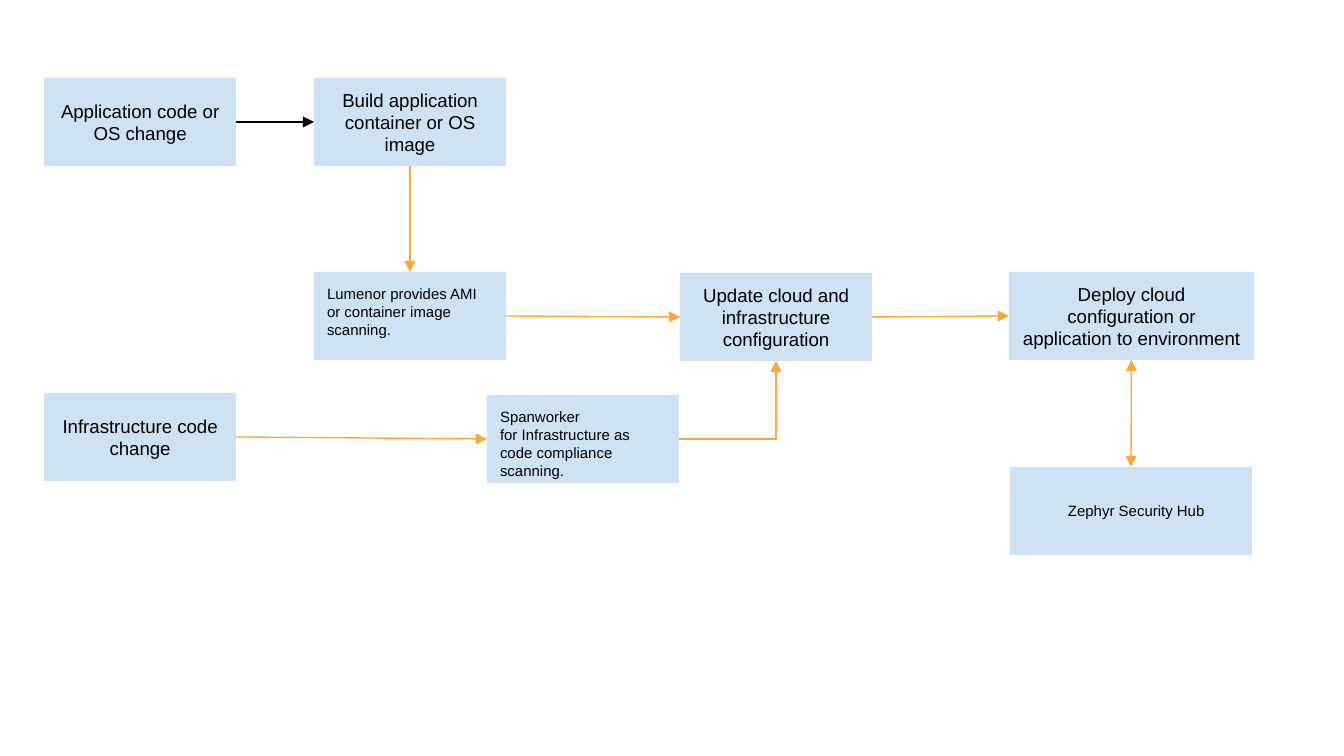
from dataclasses import dataclass

from pptx import Presentation
from pptx.dml.color import RGBColor
from pptx.enum.shapes import MSO_CONNECTOR, MSO_SHAPE
from pptx.enum.text import MSO_ANCHOR, PP_ALIGN
from pptx.oxml.ns import qn
from pptx.oxml.xmlchemy import OxmlElement
from pptx.util import Pt

RECT = MSO_SHAPE.RECTANGLE
STRAIGHT, ELBOW = MSO_CONNECTOR.STRAIGHT, MSO_CONNECTOR.ELBOW
LEFT_ALIGN, CENTER = PP_ALIGN.LEFT, PP_ALIGN.CENTER
TOP_ANCHOR, MIDDLE = MSO_ANCHOR.TOP, MSO_ANCHOR.MIDDLE
TOP, LEFT, BOTTOM, RIGHT = range(4)
EMU_PER_PX = 914400 / 134.4
STEP_W, STEP_H, WIDE_W = 192, 88, 245
INSET, HUB_INSET = 13, 58


@dataclass(frozen=True)
class Theme:
    font: str = "Arial"
    step_size: float = 10
    tool_size: float = 8
    line_width: float = 0.75
    box: RGBColor = RGBColor(0xCF, 0xE2, 0xF3)
    ink: RGBColor = RGBColor(0, 0, 0)
    flow: RGBColor = RGBColor(0xFE, 0xA8, 0x3A)


THEME = Theme()
STEP = dict(size=THEME.step_size, align=CENTER, anchor=MIDDLE, inset=INSET)
TOOL = dict(size=THEME.tool_size, align=LEFT_ALIGN, anchor=TOP_ANCHOR, inset=INSET)
HUB = {**TOOL, "anchor": MIDDLE, "inset": HUB_INSET}

BOXES = {
    "build": (314, 78, STEP_W, "Build application container or OS image", STEP),
    "deploy": (1009, 272, WIDE_W,
               "Deploy cloud configuration or application to environment", STEP),
    "update": (680, 273, STEP_W, "Update cloud and infrastructure configuration", STEP),
    "app_change": (44, 78, STEP_W, "Application code or OS change", STEP),
    "infra_change": (44, 393, STEP_W, "Infrastructure code change", STEP),
    "image_scan": (314, 272, STEP_W,
                   "Lumenor provides AMI or container image scanning.", TOOL),
    "code_scan": (487, 395, STEP_W,
                  "Spanworker for\u00a0Infrastructure as code compliance scanning.", TOOL),
    "hub": (1010, 467, 242, "Zephyr Security Hub", HUB),
}

FLOWS = [
    ("app_change", RIGHT, "build", LEFT, dict(color=THEME.ink)),
    ("build", BOTTOM, "image_scan", TOP, {}),
    ("image_scan", RIGHT, "update", LEFT, {}),
    ("infra_change", RIGHT, "code_scan", LEFT, {}),
    ("code_scan", RIGHT, "update", BOTTOM, dict(kind=ELBOW)),
    ("update", RIGHT, "deploy", LEFT, {}),
    ("hub", TOP, "deploy", BOTTOM, dict(ends=("a:headEnd", "a:tailEnd"))),
]


def px(value):
    return round(value * EMU_PER_PX)


def assign(target, values):
    for name, value in values.items():
        setattr(target, name, value)


def add_box(slide, left, top, width, text, style):
    box = slide.shapes.add_shape(RECT, px(left), px(top), px(width), px(STEP_H))
    box.shadow.inherit = False
    box.fill.solid()
    box.fill.fore_color.rgb = THEME.box
    box.line.fill.background()
    frame = box.text_frame
    assign(frame, dict(
        word_wrap=True, vertical_anchor=style["anchor"],
        margin_left=px(style["inset"]), margin_right=px(INSET),
        margin_top=px(INSET), margin_bottom=px(INSET)))
    paragraph = frame.paragraphs[0]
    paragraph.alignment = style["align"]
    run = paragraph.add_run()
    run.text = text
    assign(run.font, dict(name=THEME.font, size=Pt(style["size"])))
    run.font.color.rgb = THEME.ink
    return box


def add_flow(slide, source, source_site, target, target_site,
             color=THEME.flow, kind=STRAIGHT, ends=("a:tailEnd",)):
    flow = slide.shapes.add_connector(kind, 0, 0, 0, 0)
    flow.begin_connect(source, source_site)
    flow.end_connect(target, target_site)
    flow.line.width = Pt(THEME.line_width)
    flow.line.color.rgb = color
    properties = flow._element.spPr
    if kind == ELBOW:
        properties.find(qn("a:prstGeom")).set("prst", "bentConnector2")
    outline = properties.find(qn("a:ln"))
    for end in ends:
        arrowhead = OxmlElement(end)
        arrowhead.set("type", "triangle")
        outline.append(arrowhead)
    properties.append(OxmlElement("a:effectLst"))


def main():
    deck = Presentation()
    assign(deck, dict(slide_width=px(1344), slide_height=px(756)))
    slide = deck.slides.add_slide(deck.slide_layouts[6])
    boxes = {key: add_box(slide, *details) for key, details in BOXES.items()}
    for source, source_site, target, target_site, options in FLOWS:
        add_flow(slide, boxes[source], source_site, boxes[target], target_site, **options)
    deck.save("out.pptx")


main()
